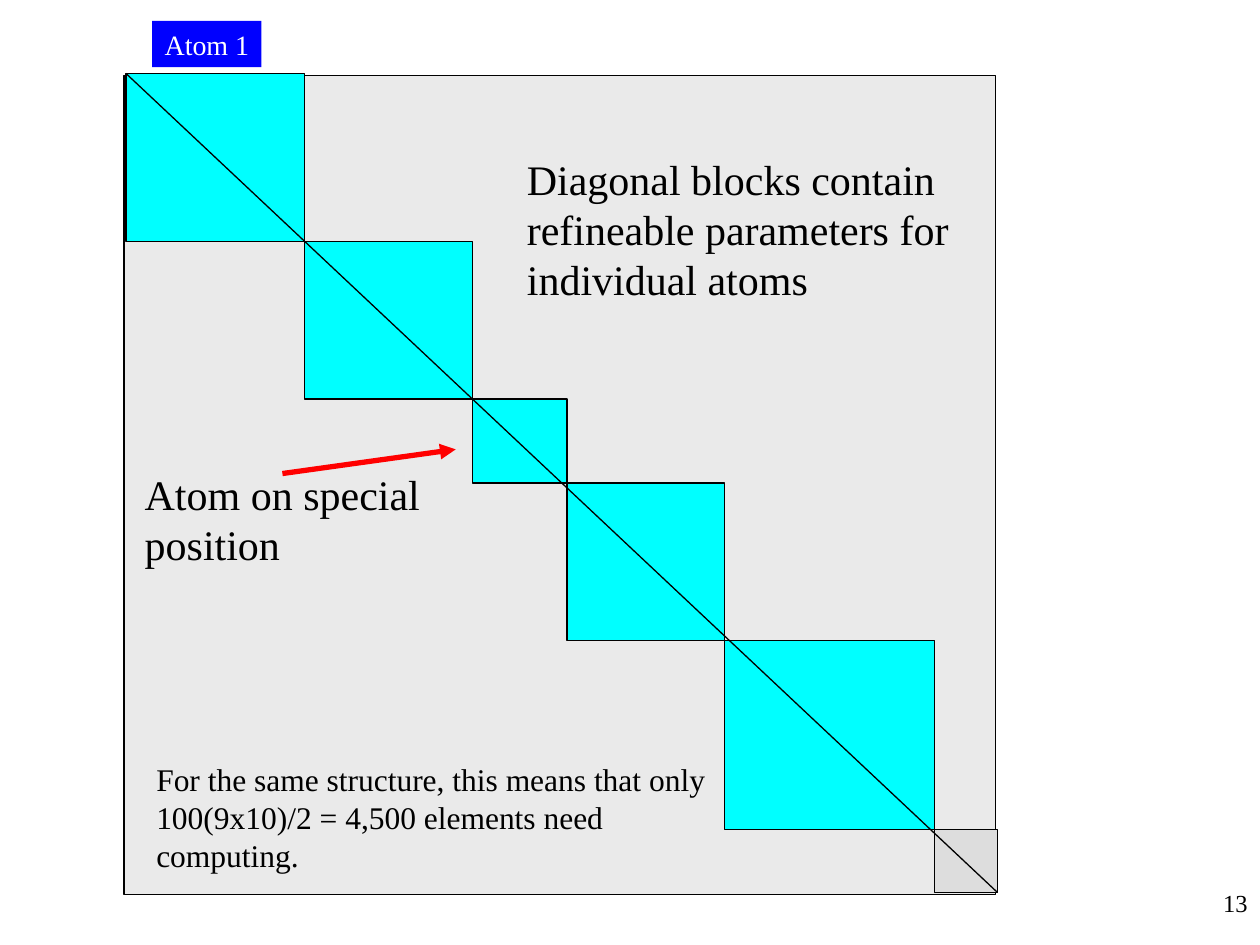
from itertools import pairwise
from lxml.etree import SubElement
from pptx import Presentation
from pptx.dml.color import RGBColor
from pptx.enum.shapes import MSO_CONNECTOR, MSO_SHAPE
from pptx.enum.text import PP_ALIGN
from pptx.oxml.ns import qn
from pptx.util import Inches, Pt

BLACK = RGBColor(0, 0, 0)
WHITE = RGBColor(255, 255, 255)
CYAN = RGBColor(0, 255, 255)
BLUE = RGBColor(0, 0, 255)
RED = RGBColor(255, 0, 0)
PALE = RGBColor(0xEA, 0xEA, 0xEA)
GREY = RGBColor(0xDD, 0xDD, 0xDD)

deck = Presentation()
deck.slide_width, deck.slide_height = Inches(10), Inches(7.5)
slide = deck.slides.add_slide(deck.slide_layouts[6])
shapes = slide.shapes
CELL = deck.slide_width / 120  # the grid has 120 columns and 90 rows


def grid(*marks):
    return [round(mark * CELL) for mark in marks]


def write(box, lines, size, color=BLACK, align=PP_ALIGN.LEFT, wrap=True):
    frame = box.text_frame
    frame.word_wrap = wrap
    for i, line in enumerate(lines):
        para = frame.add_paragraph() if i else frame.paragraphs[0]
        para.alignment = align
        run = para.add_run()
        run.text = line
        run.font.name = "Times New Roman"
        run.font.size = Pt(size)
        run.font.color.rgb = color


# Matrix, then the blocks that step down its diagonal
steps = [(12, 7), (29, 23), (45, 38), (54, 46), (69, 61), (89, 79), (95, 85)]
parts = [(11.8, 7.2, 83, 78, PALE)]
for (left, top), (right, base) in pairwise(steps):
    parts.append((left, top, right - left, base - top, CYAN))
parts[-1] = (*parts[-1][:4], GREY)
for *place, color in parts:
    block = shapes.add_shape(MSO_SHAPE.RECTANGLE, *grid(*place))
    block.shadow.inherit = False
    block.fill.solid()
    block.fill.fore_color.rgb = color
    block.line.color.rgb = BLACK
    block.line.width = Pt(0.75)

# Diagonal and the arrow to the small block
rules = [
    (*steps[0], *steps[-1], BLACK, 0.75),
    (26.9, 45.1, 43.4, 42.8, RED, 3),
]
for *ends, color, width in rules:
    rule = shapes.add_connector(MSO_CONNECTOR.STRAIGHT, *grid(*ends))
    rule.line.color.rgb = color
    rule.line.width = Pt(width)
    SubElement(rule._element.spPr, qn("a:effectLst"))
    if color == RED:
        SubElement(rule.line._get_or_add_ln(), qn("a:tailEnd"), type="triangle")

# Label of the first block
label = shapes.add_shape(MSO_SHAPE.RECTANGLE, *grid(14.5, 2, 10.4, 4.4))
label.shadow.inherit = False
label.fill.solid()
label.fill.fore_color.rgb = BLUE
label.line.fill.background()
write(label, ["Atom 1"], 16, WHITE, wrap=False)

# Notes on the matrix
notes = [
    (49, 14, 43, 15.6, 24,
     ["Diagonal blocks contain refineable parameters for individual atoms"]),
    (13.7, 71.8, 56.8, 12, 18,
     ["For the same structure, this means that only",
      "100(9x10)/2 = 4,500 elements need computing."]),
    (12.6, 44, 28.8, 10.8, 24, ["Atom on special position"]),
]
for *place, size, lines in notes:
    write(shapes.add_textbox(*grid(*place)), lines, size)

# Page number
page = shapes.add_textbox(*grid(103.8, 84, 16.2, 6))
write(page, ["13"], 14, align=PP_ALIGN.RIGHT)

deck.save("out.pptx")
